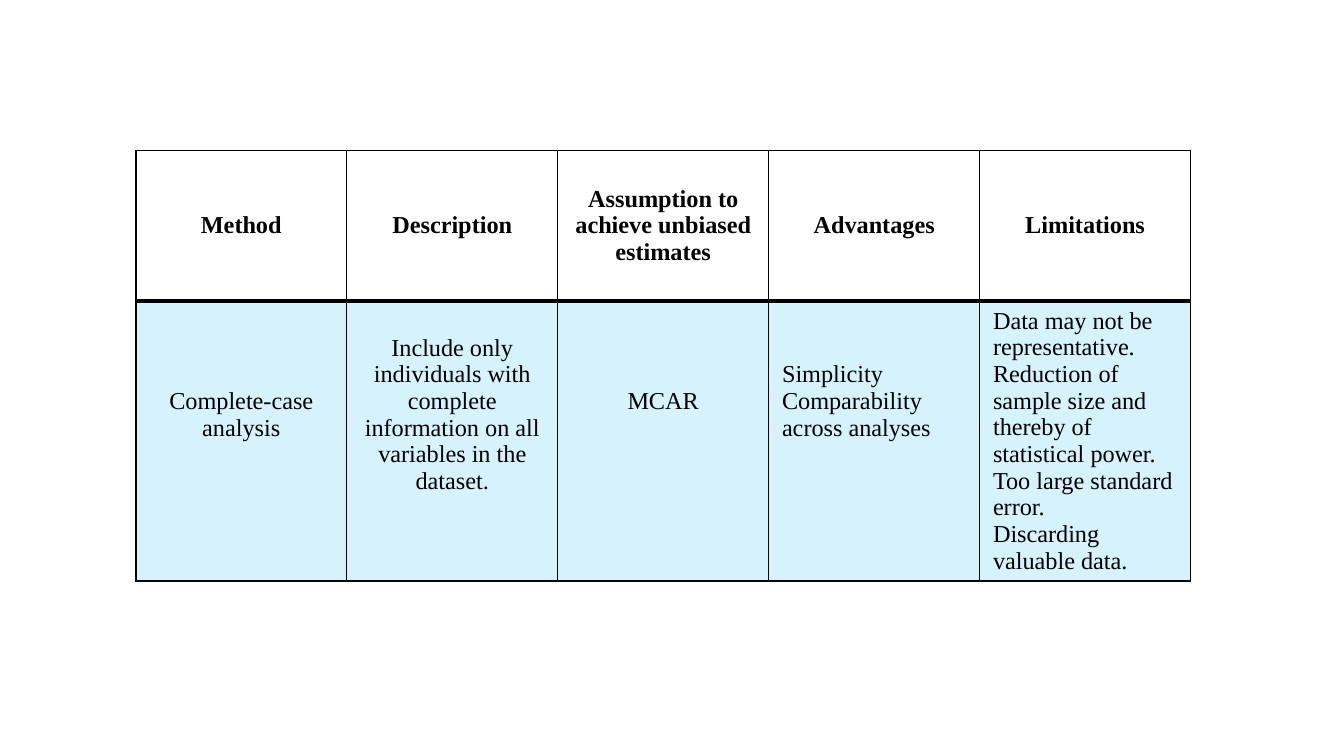
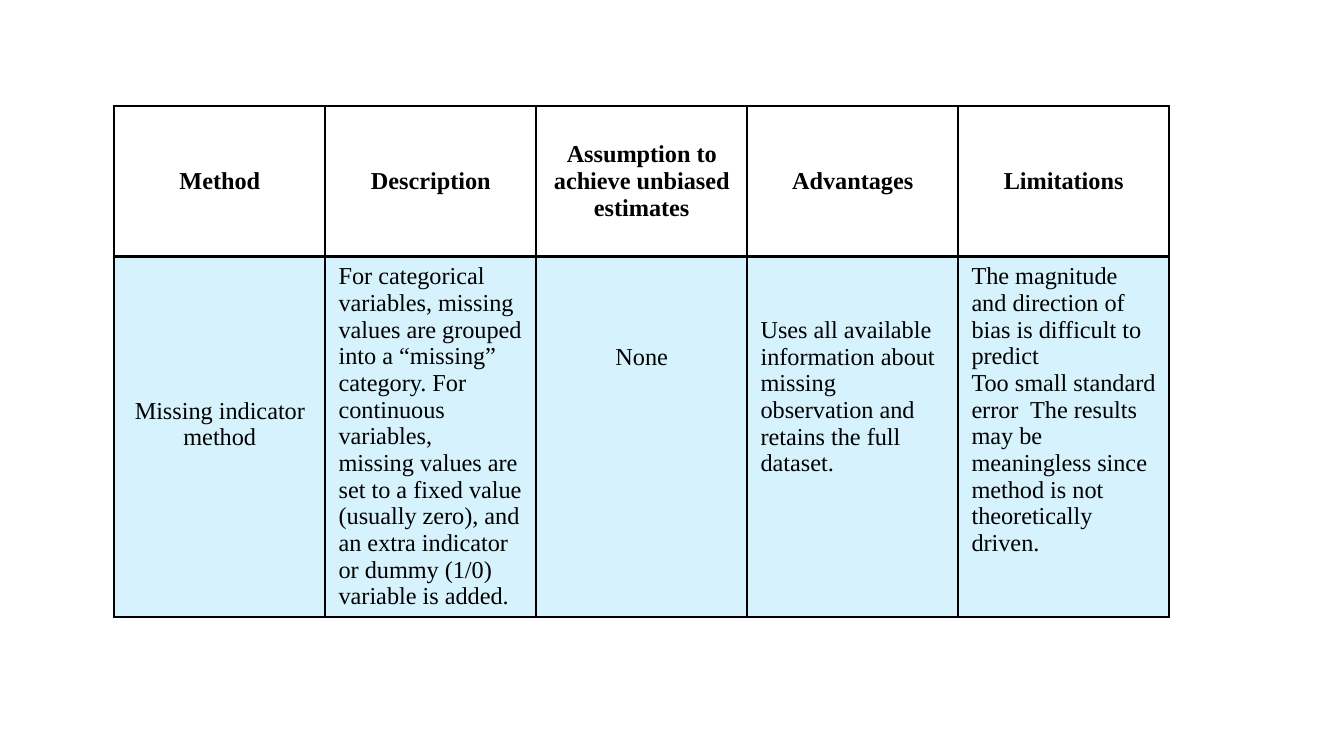
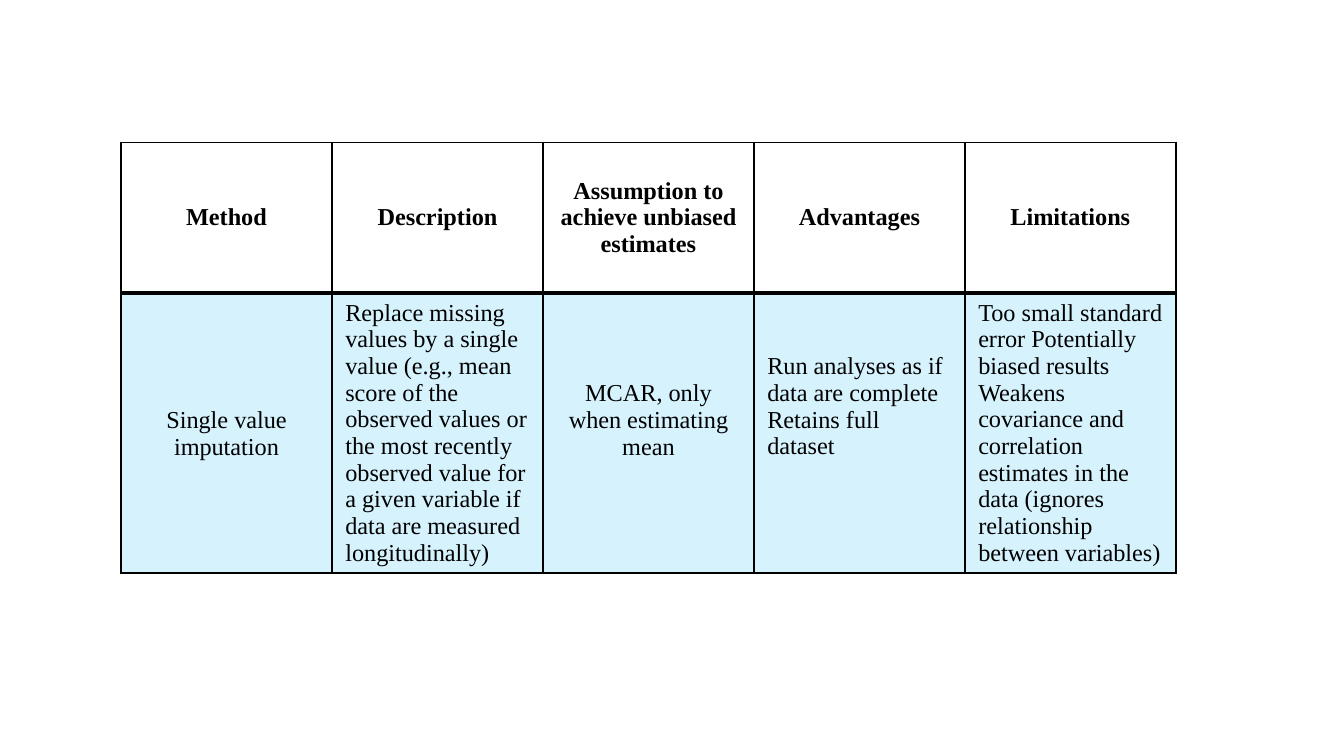
from lxml.etree import SubElement
from pptx import Presentation
from pptx.dml.color import RGBColor
from pptx.enum.text import MSO_ANCHOR, PP_ALIGN
from pptx.oxml.ns import qn
from pptx.util import Inches, Pt

FONT, SIZE = "Times New Roman", 13
BLACK, SKY, SKY_ALPHA = "000000", "2FBEF6", 20
SLIDE_WIDTH, ASPECT = 10, 16 / 9
COL_WIDTH, HEADER_HEIGHT, BODY_HEIGHT = 1.57, 1.12, 0.94
MARGIN, LINE_HEIGHT = 0.05, 0.2
LEFT, CENTER = PP_ALIGN.LEFT, PP_ALIGN.CENTER
TOP, MIDDLE = MSO_ANCHOR.TOP, MSO_ANCHOR.MIDDLE

HEADINGS = ["Method", "Description", "Assumption to achieve unbiased estimates",
            "Advantages", "Limitations"]

METHODS = [
    ((1.01, 1.12, 3.39), [
        (3, CENTER, TOP, ["Complete-case analysis"]),
        (1, CENTER, TOP, ["Include only individuals with complete information on all "
                          "variables in the dataset."]),
        (3, CENTER, TOP, ["MCAR"]),
        (2, LEFT, TOP, ["Simplicity", "Comparability across analyses"]),
        (0, LEFT, TOP, ["Data may not be representative. Reduction of sample size and "
                        "thereby of statistical power. Too large standard error.",
                        "Discarding valuable data."]),
    ]),
    ((0.85, 0.79, 4.04), [
        (5, CENTER, TOP, ["Missing indicator method"]),
        (0, LEFT, MIDDLE, ["For categorical variables, missing values are grouped into a "
                           "“missing” category. For continuous variables,",
                           "missing values are set to a fixed value (usually zero), and an "
                           "extra indicator or dummy (1/0) variable is added."]),
        (3, CENTER, TOP, ["None"]),
        (2, LEFT, TOP, ["Uses all available information about missing observation and "
                        "retains the full dataset."]),
        (0, LEFT, TOP, ["The magnitude and direction of bias is difficult to predict",
                        "Too small standard error  The results may be meaningless since "
                        "method is not theoretically driven."]),
    ]),
    ((0.9, 1.06, 3.61), [
        (4, CENTER, TOP, ["Single value imputation"]),
        (0, LEFT, TOP, ["Replace missing values by a single value (e.g., mean score of the "
                        "observed values or the most recently observed value for a given "
                        "variable if data are measured longitudinally)"]),
        (3, CENTER, TOP, ["MCAR, only when estimating mean"]),
        (2, LEFT, TOP, ["Run analyses as if data are complete  Retains full dataset"]),
        (0, LEFT, TOP, ["Too small standard error Potentially biased results",
                        "Weakens covariance and correlation estimates in the data (ignores "
                        "relationship between variables)"]),
    ]),
]


def rgb(color):
    return RGBColor.from_string(color)


class Deck:
    """Holds the presentation, its style and the current slide."""

    def __init__(self):
        self.prs = Presentation()
        self.prs.slide_width = Inches(SLIDE_WIDTH)
        self.prs.slide_height = Inches(SLIDE_WIDTH / ASPECT)

    def slide(self):
        self.s = self.prs.slides.add_slide(self.prs.slide_layouts[6])

    def text(self, cell, paragraphs, align, anchor, bold=False, lines_above=0):
        cell.vertical_anchor = anchor
        cell.margin_top = Inches(MARGIN + lines_above * LINE_HEIGHT)
        tf = cell.text_frame
        for i, text in enumerate(paragraphs):
            p = tf.add_paragraph() if i else tf.paragraphs[0]
            p.alignment = align
            r = p.add_run()
            r.text = text
            r.font.name, r.font.size, r.font.bold = FONT, Pt(SIZE), bold
            r.font.color.rgb = rgb(BLACK)

    def borders(self, cell, bottom=1):
        tcPr = cell._tc.get_or_add_tcPr()
        for side, width in zip("LRTB", (1, 1, 1, bottom)):
            ln = SubElement(tcPr, qn(f"a:ln{side}"), w=str(Pt(width)))
            SubElement(SubElement(ln, qn("a:solidFill")), qn("a:srgbClr"), val=BLACK)

    def tint(self, cell):
        cell.fill.solid()
        cell.fill.fore_color.rgb = rgb(SKY)
        clr = cell._tc.tcPr.find(qn("a:solidFill"))[0]
        SubElement(clr, qn("a:alpha"), val=str(SKY_ALPHA * 1000))

    def table(self, left, top, height, body):
        cols = len(HEADINGS)
        sp = self.s.shapes.add_table(2, cols, Inches(left), Inches(top),
                                     Inches(COL_WIDTH * cols), Inches(height))
        table = sp.table
        table.first_row = table.horz_banding = False
        for row, row_height in zip(table.rows, (HEADER_HEIGHT, BODY_HEIGHT)):
            row.height = Inches(row_height)
        sp.height = Inches(height)
        for c, (heading, content) in enumerate(zip(HEADINGS, body)):
            table.columns[c].width = Inches(COL_WIDTH)
            head, cell = table.cell(0, c), table.cell(1, c)
            self.borders(head, bottom=2)
            head.fill.background()
            self.text(head, [heading], CENTER, MIDDLE, bold=True)
            lines_above, align, anchor, paragraphs = content
            self.borders(cell)
            self.tint(cell)
            self.text(cell, paragraphs, align, anchor, lines_above=lines_above)


def main():
    deck = Deck()
    for place, body in METHODS:
        deck.slide()
        deck.table(*place, body)
    deck.prs.save("out.pptx")


if __name__ == "__main__":
    main()
